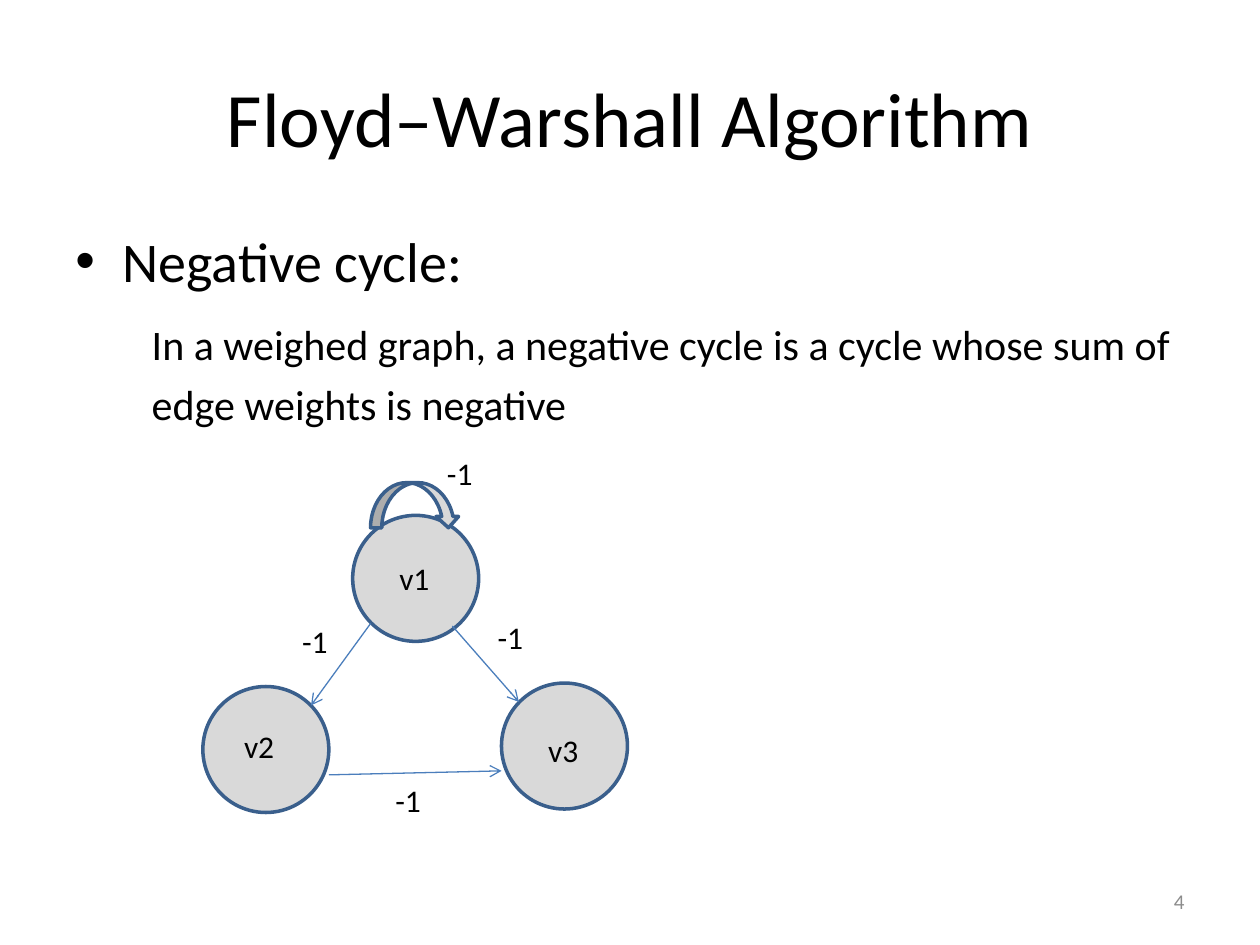
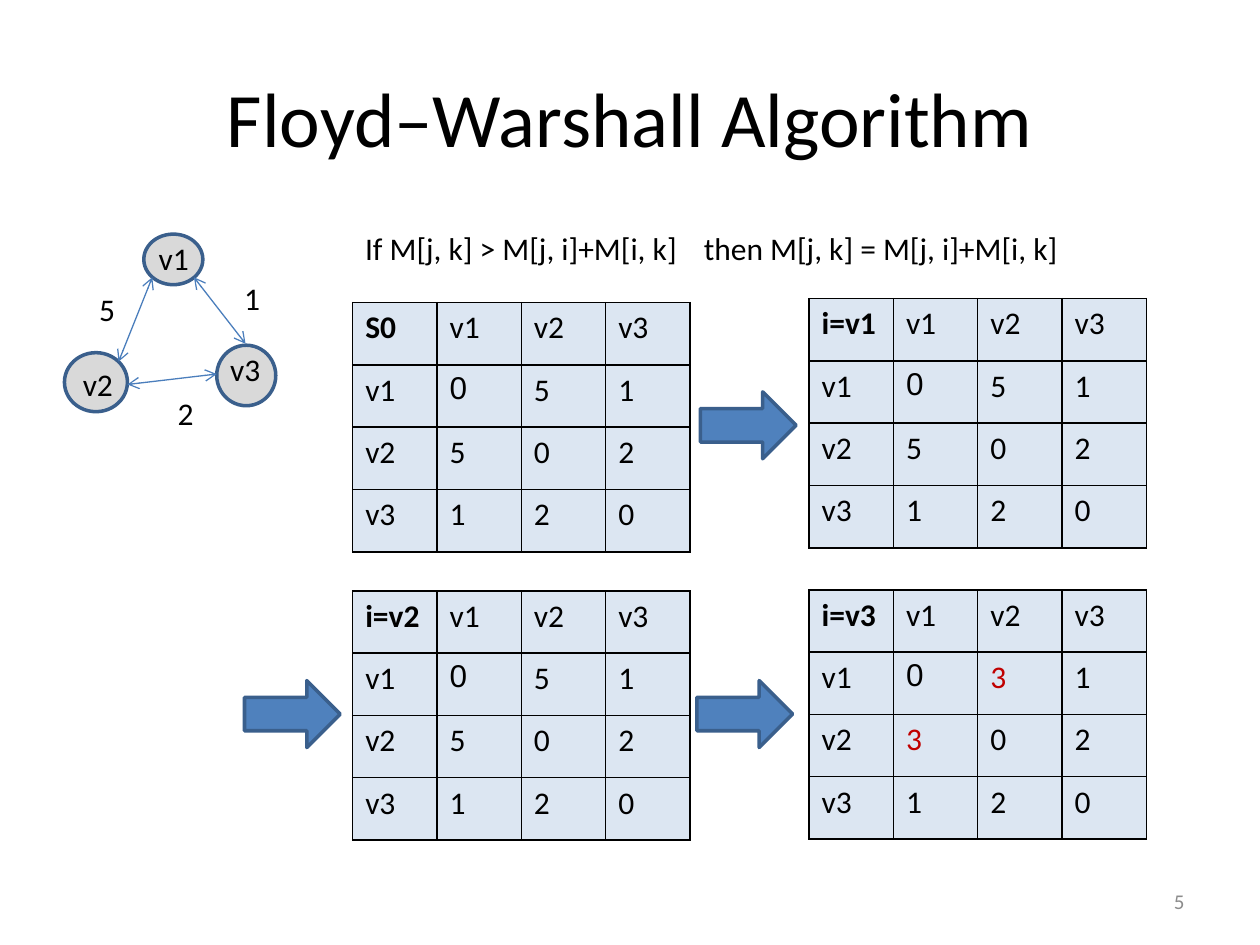
from lxml import etree
from pptx import Presentation
from pptx.dml.color import RGBColor
from pptx.enum.shapes import MSO_CONNECTOR, MSO_SHAPE
from pptx.enum.text import MSO_ANCHOR, PP_ALIGN
from pptx.oxml.ns import qn
from pptx.util import Cm, Pt

LEFT, CENTER, RIGHT = PP_ALIGN.LEFT, PP_ALIGN.CENTER, PP_ALIGN.RIGHT
TOP, MIDDLE = MSO_ANCHOR.TOP, MSO_ANCHOR.MIDDLE
ELLIPSE, BLOCK_ARROW = MSO_SHAPE.OVAL, MSO_SHAPE.RIGHT_ARROW
LOOP_ARROW = MSO_SHAPE.CURVED_DOWN_ARROW
STRAIGHT = MSO_CONNECTOR.STRAIGHT

COLORS = {
    "text": "000000", "number": "8C8C8C", "node": "D9D9D9", "outline": "3A5F8C",
    "edge": "4B7EBC", "arrow": "4F81BD", "cell": "DCE6F2", "changed": "C00000",
}
FONT, ZERO_FONT = "Calibri", "Arial"
TITLE = "Floyd–Warshall Algorithm"
LABEL_SIZE = (1.12, 1.02)
WEIGHT_HEIGHT = 1.02

BODY = [
    ("Negative cycle:", dict(size=32, bullet=True)),
    ("In a weighed graph, a negative cycle is a cycle whose sum of",
     dict(size=24, indent=1.54, before=14)),
    ("edge weights is negative", dict(size=24, indent=1.54, before=5.5)),
]
CYCLE_GRAPH = dict(
    nodes=[
        ("v1", (7.11, 10.39, 2.54, 2.54), (7.80, 11.15)),
        ("v3", (10.11, 13.77, 2.54, 2.54), (10.80, 14.61)),
        ("v2", (4.09, 13.84, 2.54, 2.54), (4.67, 14.53)),
    ],
    edges=[
        ((7.47, 12.57), (6.27, 14.22)),
        ((6.63, 15.62), (10.11, 15.54)),
        ((9.12, 12.62), (10.46, 14.15)),
    ],
    weights=[("-1", 8.76, 9.02), ("-1", 5.84, 12.42),
             ("-1", 9.78, 12.34), ("-1", 7.72, 15.62)],
    weight_width=1.04,
    ends=["tailEnd"],
)
SELF_LOOP = (7.47, 9.73, 1.80, 0.91)

RULE = "If M[j, k] > M[j, i]+M[i, k]\tthen M[j, k] = M[j, i]+M[i, k]"
DISTANCE_GRAPH = dict(
    nodes=[
        ("v3", (4.37, 6.96, 1.19, 1.22), (4.39, 6.93)),
        ("v2", (1.30, 7.11, 1.27, 1.19), (1.42, 7.24)),
        ("v1", (2.90, 4.72, 1.19, 1.02), (2.95, 4.70)),
    ],
    edges=[
        ((3.07, 5.59), (2.39, 7.29)),
        ((3.91, 5.59), (4.95, 6.93)),
        ((4.37, 7.54), (2.57, 7.75)),
    ],
    weights=[("1", 4.67, 5.51), ("5", 1.75, 5.72), ("2", 3.33, 7.82)],
    weight_width=0.84,
    ends=["headEnd", "tailEnd"],
)
VERTICES = ["v1", "v2", "v3"]
START = [[0, 5, 1], [5, 0, 2], [1, 2, 0]]
SHORTEST = [[0, 3, 1], [3, 0, 2], [1, 2, 0]]
MATRICES = [
    ("S0", START, 7.11, 6.10),
    ("i=v1", START, 16.31, 6.02),
    ("i=v2", START, 7.11, 11.91),
    ("i=v3", SHORTEST, 16.31, 11.89),
]
COLUMN_WIDTH, ROW_HEIGHT = 1.70, 1.256
STEP_ARROWS = [(14.12, 7.90), (4.93, 13.72), (14.05, 13.72)]
STEP_ARROW_SIZE = (1.93, 1.35)


def rgb(name):
    return RGBColor.from_string(COLORS[name])


def lengths(values):
    return [Cm(value) for value in values]


def write(para, text, size=18, color="text", font=FONT, bold=False, align=LEFT,
          indent=0, before=0, bullet=False, tab=None):
    properties = para._p.get_or_add_pPr()
    if bullet:
        properties.set("marL", str(Cm(0.95)))
        properties.set("indent", str(-Cm(0.95)))
        etree.SubElement(properties, qn("a:buFont"), typeface="Arial")
        etree.SubElement(properties, qn("a:buChar"), char="•")
    elif indent:
        properties.set("marL", str(Cm(indent)))
    if tab:
        stops = etree.SubElement(properties, qn("a:tabLst"))
        etree.SubElement(stops, qn("a:tab"), pos=str(Cm(tab)), algn="l")
    para.alignment = align
    if before:
        para.space_before = Pt(before)
    span = para.add_run()
    span.text = text
    span.font.size = Pt(size)
    span.font.name = font
    span.font.bold = bold
    span.font.color.rgb = rgb(color)


def add_text(page, place, paragraphs, wrap=True, anchor=TOP):
    frame = page.shapes.add_textbox(*lengths(place)).text_frame
    frame.word_wrap = wrap
    frame.vertical_anchor = anchor
    for index, (text, style) in enumerate(paragraphs):
        para = frame.add_paragraph() if index else frame.paragraphs[0]
        write(para, text, **style)


def add_shape(page, kind, place, fill):
    shape = page.shapes.add_shape(kind, *lengths(place))
    shape.shadow.inherit = False
    shape.fill.solid()
    shape.fill.fore_color.rgb = rgb(fill)
    shape.line.color.rgb = rgb("outline")
    shape.line.width = Pt(2)


def add_edge(page, start, finish, ends):
    edge = page.shapes.add_connector(STRAIGHT, *lengths(start + finish))
    edge.line.color.rgb = rgb("edge")
    edge.line.width = Pt(0.75)
    line = edge.line._get_or_add_ln()
    for end in ends:
        etree.SubElement(line, qn(f"a:{end}"), type="arrow")
    etree.SubElement(edge._element.spPr, qn("a:effectLst"))


def add_graph(page, nodes, edges, weights, weight_width, ends):
    for _, place, _ in nodes:
        add_shape(page, ELLIPSE, place, "node")
    for name, _, corner in nodes:
        add_text(page, corner + LABEL_SIZE, [(name, {})], wrap=False)
    for start, finish in edges:
        add_edge(page, start, finish, ends)
    for weight, left, top in weights:
        add_text(page, (left, top, weight_width, WEIGHT_HEIGHT), [(weight, {})],
                 wrap=False)


def style_cell(cell):
    properties = cell._tc.get_or_add_tcPr()
    for side in ("lnL", "lnR", "lnT", "lnB"):
        border = etree.SubElement(properties, qn(f"a:{side}"), w=str(Pt(1)))
        fill = etree.SubElement(border, qn("a:solidFill"))
        etree.SubElement(fill, qn("a:srgbClr"), val=COLORS["text"])
    cell.fill.solid()
    cell.fill.fore_color.rgb = rgb("cell")


def add_matrix(page, name, values, left, top):
    rows = [[name] + VERTICES]
    rows += [[vertex] + row for vertex, row in zip(VERTICES, values)]
    count = len(rows)
    place = (left, top, COLUMN_WIDTH * count, ROW_HEIGHT * count)
    table = page.shapes.add_table(count, count, *lengths(place)).table
    table.first_row = table.horz_banding = False
    for row_index, row in enumerate(rows):
        for column_index, value in enumerate(row):
            cell = table.cell(row_index, column_index)
            style_cell(cell)
            position = (row_index, column_index)
            write(cell.text_frame.paragraphs[0], str(value),
                  bold=position == (0, 0),
                  font=ZERO_FONT if position == (1, 1) else FONT,
                  color="changed" if value == 3 else "text")


def add_page(deck, number):
    page = deck.slides.add_slide(deck.slide_layouts[6])
    add_text(page, (1.27, 0.76, 22.86, 3.18),
             [(TITLE, dict(size=44, align=CENTER))], anchor=MIDDLE)
    add_text(page, (18.21, 17.65, 5.92, 1.02),
             [(str(number), dict(size=12, color="number", align=RIGHT))],
             anchor=MIDDLE)
    return page


def add_cycle_page(deck):
    page = add_page(deck, 4)
    add_text(page, (1.27, 4.45, 22.86, 12.57), BODY)
    add_graph(page, **CYCLE_GRAPH)
    add_shape(page, LOOP_ARROW, SELF_LOOP, "node")


def add_steps_page(deck):
    page = add_page(deck, 5)
    add_graph(page, **DISTANCE_GRAPH)
    add_text(page, (7.11, 4.50, 14.96, 1.02), [(RULE, dict(tab=6.83))])
    for matrix in MATRICES:
        add_matrix(page, *matrix)
    for corner in STEP_ARROWS:
        add_shape(page, BLOCK_ARROW, corner + STEP_ARROW_SIZE, "arrow")


def main():
    deck = Presentation()
    deck.slide_width, deck.slide_height = Cm(25.4), Cm(19.05)
    add_cycle_page(deck)
    add_steps_page(deck)
    deck.save("out.pptx")


if __name__ == "__main__":
    main()
